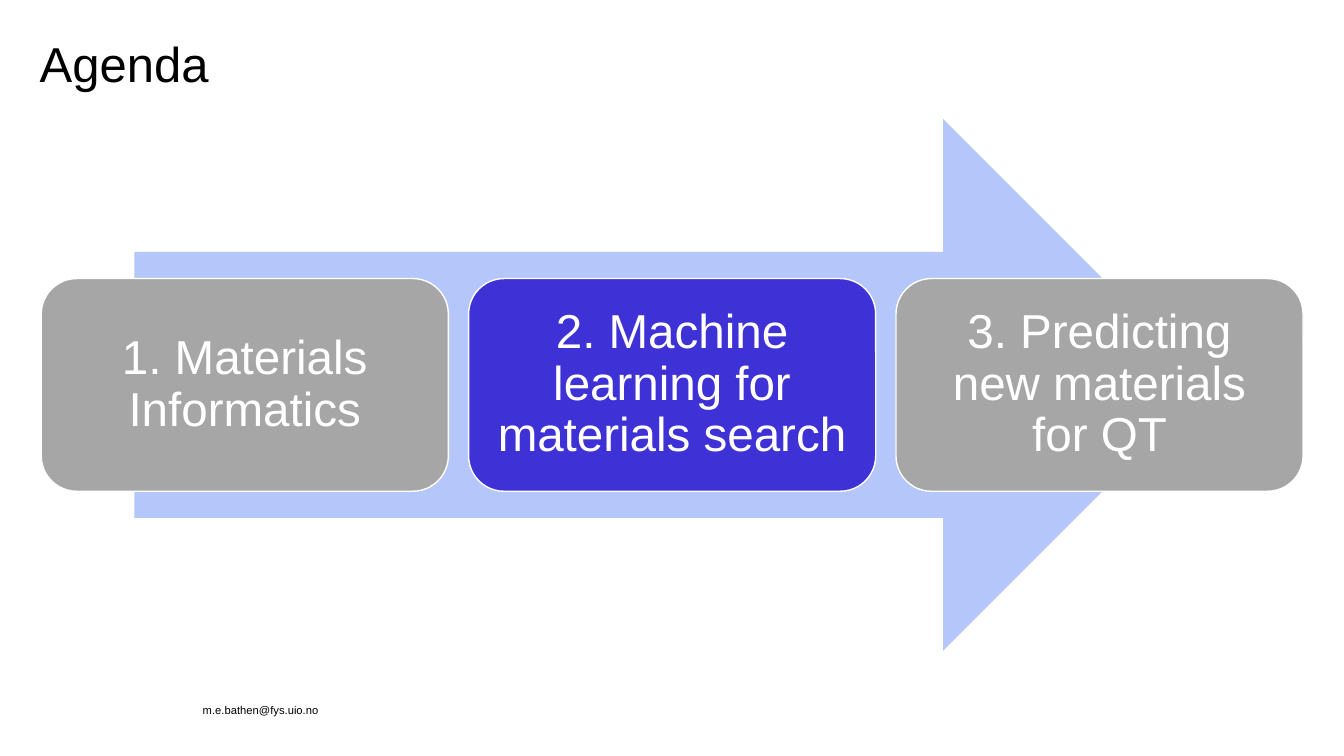
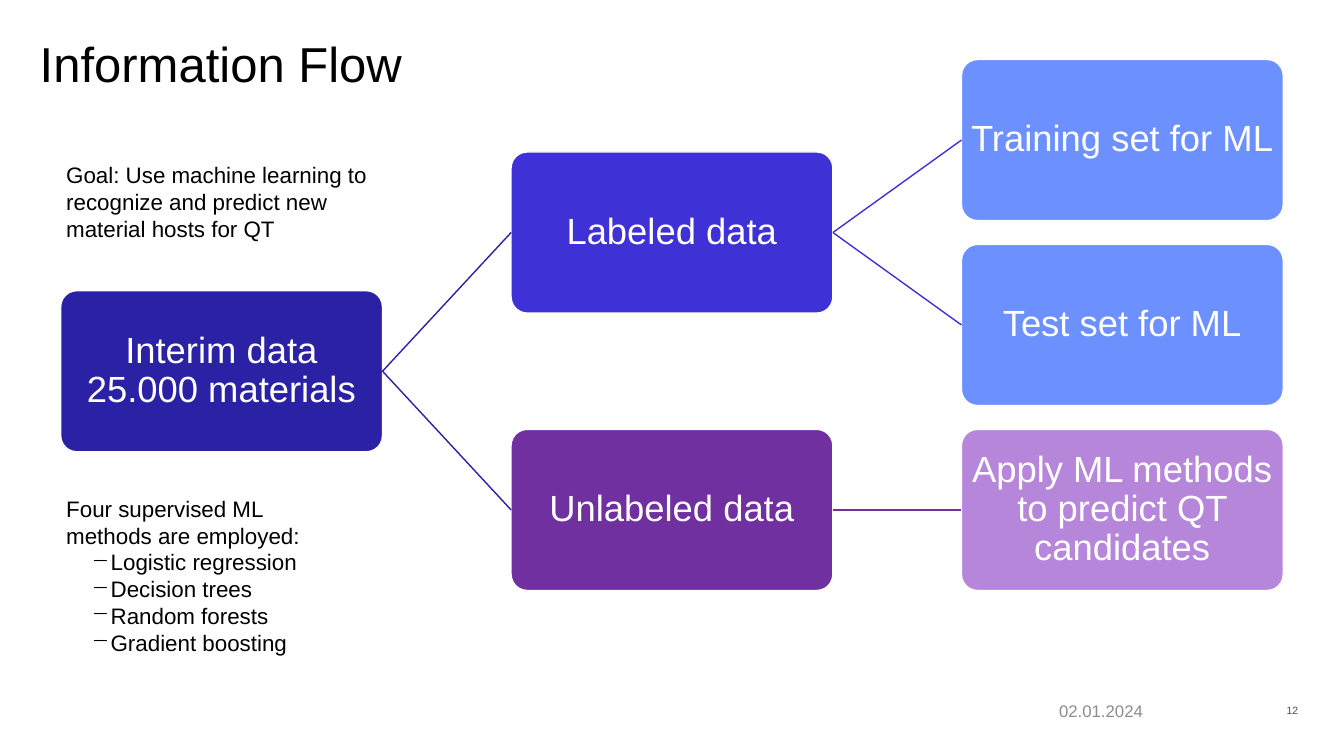
"""Builds an agenda slide and an information flow slide about machine learning for materials."""
from lxml import etree
from pptx import Presentation
from pptx import util as u
from pptx.dml.color import RGBColor
from pptx.enum import shapes, text
from pptx.oxml import ns

Cm, Pt = u.Cm, u.Pt
ALIGN, ANCHOR = text.PP_ALIGN, text.MSO_ANCHOR
COLORS = {
    "black": "000000", "white": "FFFFFF", "arrow": "B4C6FA", "inactive": "A6A6A6",
    "navy": "2B21A5", "blue": "3E31D6", "sky": "6D90FF", "purple": "7030A0",
    "lilac": "B686DA", "number": "524B48", "date": "8C8C8C",
}


def write(sp, lines, size, color="black", align=ALIGN.LEFT, anchor=ANCHOR.TOP,
          inset=(0, 0), spacing=1.0, bullets_from=None):
    tf = sp.text_frame
    tf.word_wrap = True
    tf.auto_size = text.MSO_AUTO_SIZE.NONE
    tf.vertical_anchor = anchor
    tf.margin_left = tf.margin_right = Cm(inset[0])
    tf.margin_top = tf.margin_bottom = Cm(inset[1])
    for i, line in enumerate(lines):
        p = tf.paragraphs[0] if i == 0 else tf.add_paragraph()
        p.alignment = align
        p.line_spacing = spacing
        if bullets_from is not None and i >= bullets_from:
            p.level = 1
            pPr = p._p.get_or_add_pPr()
            pPr.set("marL", str(Cm(1.12)))
            pPr.set("indent", str(Cm(-0.48)))
            etree.SubElement(pPr, ns.qn("a:buChar"), char="−")
        r = p.add_run()
        r.text = line
        r.font.name = "Arial"
        r.font.size = Pt(size)
        r.font.color.rgb = RGBColor.from_string(COLORS[color])


def add_box(s, kind, x, y, w, h, fill, line=None):
    sp = s.shapes.add_shape(kind, Cm(x), Cm(y), Cm(w), Cm(h))
    sp.shadow.inherit = False
    sp.fill.solid()
    sp.fill.fore_color.rgb = RGBColor.from_string(COLORS[fill])
    if line:
        sp.line.color.rgb = RGBColor.from_string(COLORS[line])
        sp.line.width = Pt(1)
    else:
        sp.line.fill.background()
    return sp


prs = Presentation()
prs.slide_width, prs.slide_height = Cm(33.87), Cm(19.05)
slides = []
for heading in ("Agenda", "Information Flow"):
    s = prs.slides.add_slide(prs.slide_layouts[5])
    title = s.shapes.title
    title.left, title.top, title.width, title.height = Cm(1), Cm(1), Cm(31.87), Cm(1.5)
    write(title, [heading], 35, spacing=0.9)
    slides.append(s)
agenda, flow = slides

add_box(agenda, shapes.MSO_SHAPE.RIGHT_ARROW, 3.39, 3, 27.08, 13.4, "arrow")
steps = [
    ("1. Materials Informatics", "inactive"),
    ("2. Machine learning for materials search", "blue"),
    ("3. Predicting new materials for QT", "inactive"),
]
for i, (label, fill) in enumerate(steps):
    sp = add_box(agenda, shapes.MSO_SHAPE.ROUNDED_RECTANGLE,
                 1.04 + 10.77 * i, 7.02, 10.26, 5.36, fill, "white")
    write(sp, [label], 34, "white", ALIGN.CENTER, ANCHOR.MIDDLE, (0.36, 0.36), 0.9)

nodes = {}
for label, column, row, fill in [
    ("Interim data 25.000 materials", 0, 1.25, "navy"),
    ("Labeled data", 1, 0.5, "blue"),
    ("Unlabeled data", 1, 2, "purple"),
    ("Training set for ML", 2, 0, "sky"),
    ("Test set for ML", 2, 1, "sky"),
    ("Apply ML methods to predict QT candidates", 2, 2, "lilac"),
]:
    sp = add_box(flow, shapes.MSO_SHAPE.ROUNDED_RECTANGLE,
                 1.53 + 11.35 * column, 1.5 + 4.66 * row, 8.11, 4.06, fill, "white")
    sp.adjustments[0] = 0.1
    write(sp, [label], 26, "white", ALIGN.CENTER, ANCHOR.MIDDLE, (0.05, 0.05), 0.9)
    nodes[label.split()[0]] = sp

for start, end, color in [
    ("Interim", "Labeled", "navy"),
    ("Interim", "Unlabeled", "navy"),
    ("Labeled", "Training", "blue"),
    ("Labeled", "Test", "blue"),
    ("Unlabeled", "Apply", "purple"),
]:
    link = flow.shapes.add_connector(shapes.MSO_CONNECTOR.STRAIGHT, 0, 0, 0, 0)
    link.begin_connect(nodes[start], 3)
    link.end_connect(nodes[end], 1)
    link.line.color.rgb = RGBColor.from_string(COLORS[color])
    link.line.width = Pt(1)
    etree.SubElement(link._element.spPr, ns.qn("a:effectLst"))

methods = ["Four supervised ML methods are employed:", "Logistic regression",
           "Decision trees", "Random forests", "Gradient boosting"]
goal = "Goal: Use machine learning to recognize and predict new material hosts for QT"
pad = (0.25, 0.13)
for s, place, lines, style in [
    (agenda, (5.11, 17.35, 4.17, 0.71), ["m.e.bathen@fys.uio.no"],
     dict(size=8, anchor=ANCHOR.BOTTOM)),
    (flow, (1.42, 3.94, 8.28, 2.31), [goal], dict(size=16, inset=pad)),
    (flow, (1.42, 12.34, 7.09, 4.37), methods, dict(size=16, inset=pad, bullets_from=1)),
    (flow, (26.44, 17.4, 7.43, 1.02), ["02.01.2024"],
     dict(size=12, color="date", anchor=ANCHOR.MIDDLE, inset=pad)),
    (flow, (31.29, 17.4, 1.68, 1.02), ["12"],
     dict(size=7.5, color="number", align=ALIGN.RIGHT, anchor=ANCHOR.MIDDLE, inset=pad)),
]:
    sp = s.shapes.add_textbox(*[Cm(v) for v in place])
    write(sp, lines, **style)

prs.save("out.pptx")
